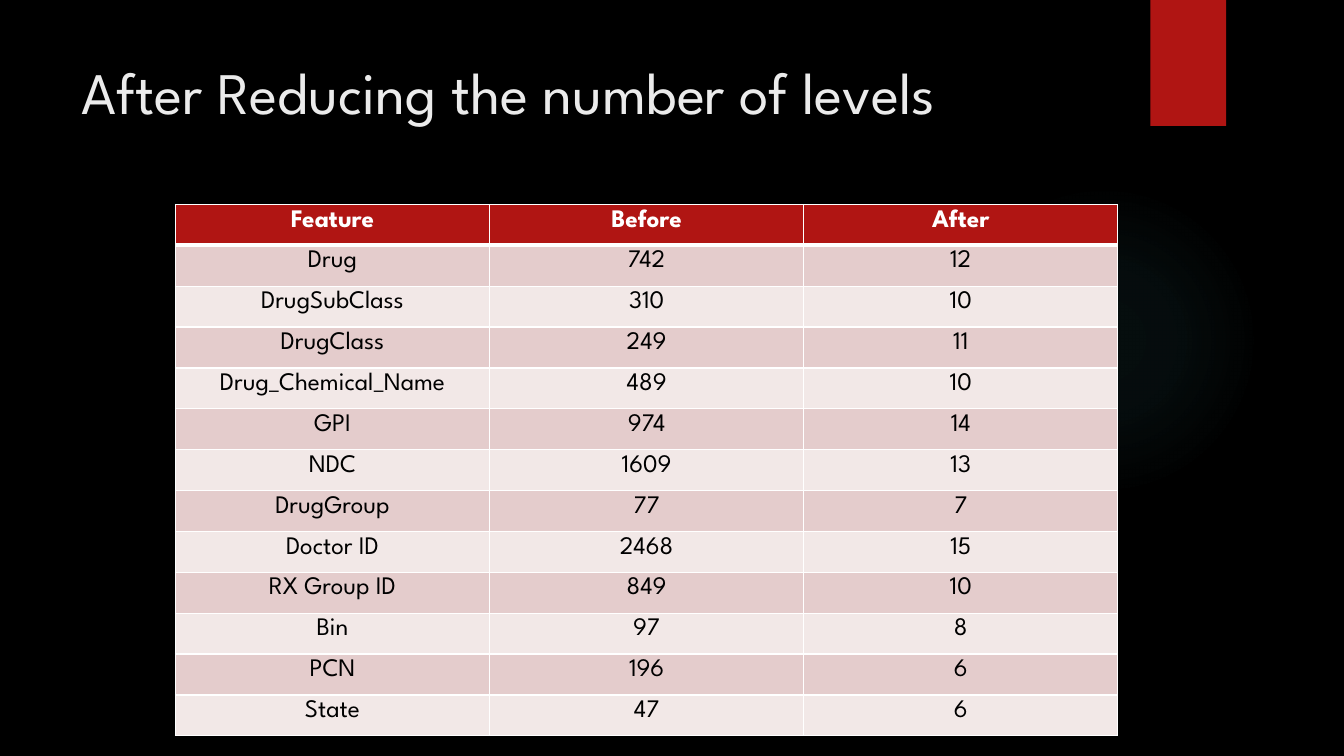
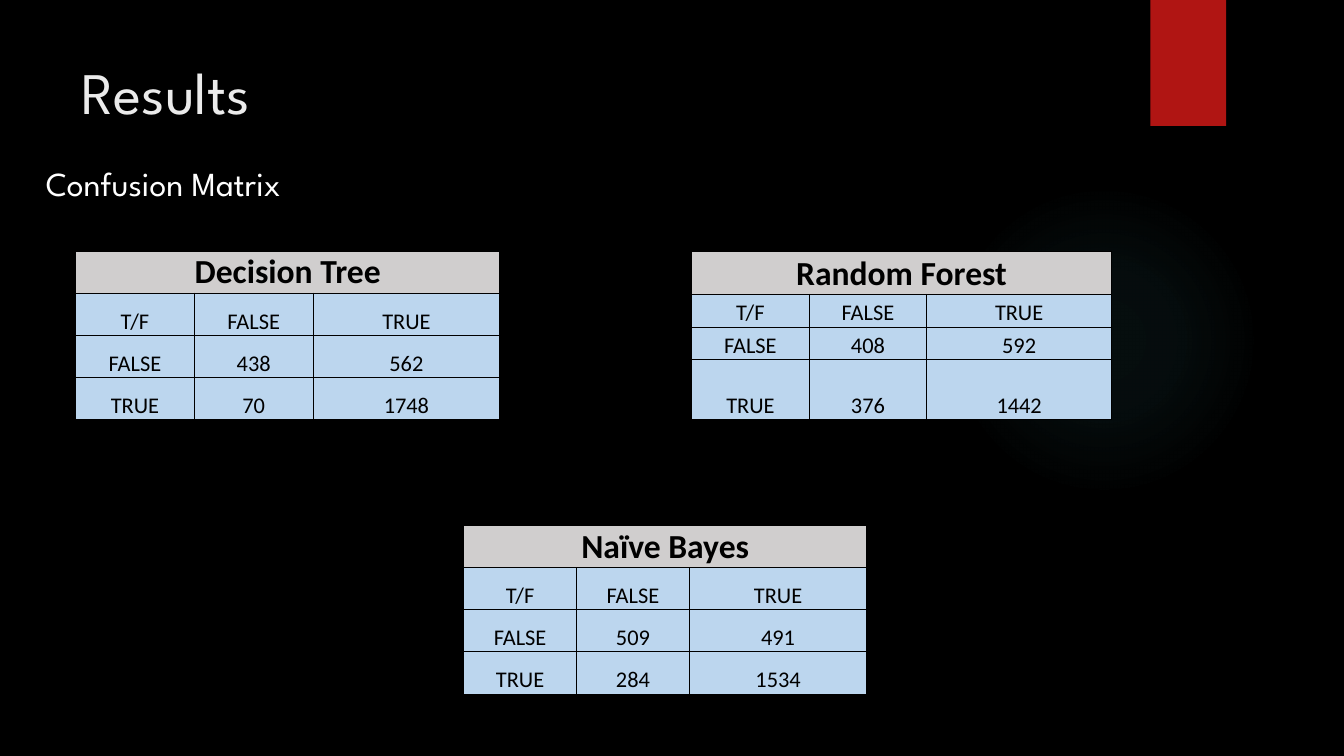
import pptx
import pptx.util
import pptx.dml.color
import pptx.enum.shapes
import pptx.enum.text
import pptx.oxml
import pptx.oxml.ns
import lxml.etree

Pt = pptx.util.Pt
RGB = pptx.dml.color.RGBColor
qn = pptx.oxml.ns.qn
ALIGN = pptx.enum.text.PP_ALIGN
ANCHOR = pptx.enum.text.MSO_ANCHOR
SHAPE = pptx.enum.shapes.MSO_SHAPE

# Content
LEVELS_TITLE = "After Reducing the number of levels"
LEVELS = [
    ("Feature", "Before", "After"),
    ("Drug", 742, 12),
    ("DrugSubClass", 310, 10),
    ("DrugClass", 249, 11),
    ("Drug_Chemical_Name", 489, 10),
    ("GPI", 974, 14),
    ("NDC", 1609, 13),
    ("DrugGroup", 77, 7),
    ("Doctor ID", 2468, 15),
    ("RX Group ID", 849, 10),
    ("Bin", 97, 8),
    ("PCN", 196, 6),
    ("State", 47, 6),
]
RESULTS_TITLE = "Results"
RESULTS_SUBTITLE = "Confusion Matrix"
EVEN_ROWS = [30.1] * 4
# name, FALSE row, TRUE row, (left, top, width), row heights
MATRICES = [
    ("Naïve Bayes", (509, 491), (284, 1534), (331.2, 375.3, 288), EVEN_ROWS),
    ("Random Forest", (408, 592), (376, 1442), (494, 179.2, 300),
     [31, 23.4, 23.4, 42.6]),
    ("Decision Tree", (438, 562), (70, 1748), (54, 179.2, 303), EVEN_ROWS),
]
MATRIX_COLS = (0.28, 0.28, 0.44)

# Style
BLACK, WHITE = RGB(0, 0, 0), RGB(255, 255, 255)
TITLE_INK = RGB(0xEB, 0xEB, 0xEB)
RED = RGB(0xB0, 0x15, 0x13)
GLOW = RGB(0x50, 0xB9, 0xC1)
BANDS = RGB(0xE4, 0xCC, 0xCC), RGB(0xF2, 0xE8, 0xE7)
GREY, BLUE = RGB(0xD0, 0xCE, 0xCE), RGB(0xBC, 0xD6, 0xEE)
HEAD_FONT, MATRIX_FONT = "League Spartan", "Calibri"


def style_text(tf, size, color, font=HEAD_FONT, bold=False, align=ALIGN.LEFT):
    for p in tf.paragraphs:
        p.alignment = align
        for r in p.runs:
            r.font.size, r.font.name, r.font.bold = Pt(size), font, bold
            r.font.color.rgb = color


def add_plain_shape(s, kind, left, top, width, height):
    sp = s.shapes.add_shape(kind, Pt(left), Pt(top), Pt(width), Pt(height))
    sp.shadow.inherit = False
    sp.line.fill.background()
    return sp


def add_glow(s):
    sp = add_plain_shape(s, SHAPE.OVAL, 677.5, 131.8, 221.8, 221.8)
    stops = "".join(
        f'<a:gs pos="{pos * 1000}"><a:srgbClr val="{GLOW}">'
        f'<a:alpha val="{alpha * 1000}"/></a:srgbClr></a:gs>'
        for pos, alpha in ((0, 7), (36, 6), (69, 0)))
    grad = pptx.oxml.parse_xml(
        f'<a:gradFill {pptx.oxml.ns.nsdecls("a")}><a:gsLst>{stops}</a:gsLst>'
        '<a:path path="circle"><a:fillToRect l="50000" t="50000" r="50000" '
        'b="50000"/></a:path></a:gradFill>')
    sp.element.spPr.find(qn("a:prstGeom")).addnext(grad)


def add_slide(prs, title):
    s = prs.slides.add_slide(prs.slide_layouts[5])
    add_glow(s)
    tab = add_plain_shape(s, SHAPE.RECTANGLE, 821.8, 0, 54, 90)
    tab.fill.solid()
    tab.fill.fore_color.rgb = RED
    tf = s.shapes.title.text_frame
    tf.text = title
    tf.vertical_anchor = ANCHOR.TOP
    style_text(tf, 42, TITLE_INK)
    return s


def add_grid(s, left, top, col_widths, row_heights):
    frame = s.shapes.add_table(
        len(row_heights), len(col_widths), Pt(left), Pt(top),
        Pt(sum(col_widths)), Pt(sum(row_heights)))
    table = frame.table
    table.first_row = table.horz_banding = False
    for col, width in zip(table.columns, col_widths):
        col.width = Pt(width)
    for row, height in zip(table.rows, row_heights):
        row.height = Pt(height)
    return table


def style_cell(cell, fill, border, width, **thicker):
    tcPr = cell._tc.get_or_add_tcPr()
    for side in "LRTB":
        ln = lxml.etree.SubElement(tcPr, qn(f"a:ln{side}"),
                                   w=str(int(Pt(thicker.get(side, width)))))
        solid = lxml.etree.SubElement(ln, qn("a:solidFill"))
        lxml.etree.SubElement(solid, qn("a:srgbClr"), val=str(border))
    cell.fill.solid()
    cell.fill.fore_color.rgb = fill


def add_levels_table(s):
    table = add_grid(s, 125.3, 146, [224.4] * 3, [29.2] * len(LEVELS))
    for i, values in enumerate(LEVELS):
        header = i == 0
        thicker = {0: {"B": 3}, 1: {"T": 3}}.get(i, {})
        for j, value in enumerate(values):
            cell = table.cell(i, j)
            cell.text_frame.text = str(value)
            style_text(cell.text_frame, 18, WHITE if header else BLACK,
                       bold=header, align=ALIGN.CENTER)
            style_cell(cell, RED if header else BANDS[(i - 1) % 2],
                       WHITE, 1, **thicker)


def add_matrix(s, name, false_row, true_row, place, row_heights):
    left, top, width = place
    table = add_grid(s, left, top, [width * c for c in MATRIX_COLS], row_heights)
    rows = [(name, "", ""), ("T/F", "FALSE", "TRUE"),
            ("FALSE", *false_row), ("TRUE", *true_row)]
    for i, values in enumerate(rows):
        header = i == 0
        for j, value in enumerate(values):
            cell = table.cell(i, j)
            cell.text_frame.text = str(value)
            style_text(cell.text_frame, 24 if header else 16, BLACK,
                       MATRIX_FONT, header, ALIGN.CENTER)
            cell.vertical_anchor = ANCHOR.BOTTOM
            cell.margin_left = cell.margin_right = cell.margin_top = Pt(0.7)
            cell.margin_bottom = 0
            style_cell(cell, GREY if header else BLUE, BLACK, 0.5)
    table.cell(0, 0).merge(table.cell(0, 2))


def main():
    prs = pptx.Presentation()
    prs.slide_width, prs.slide_height = Pt(960), Pt(540)

    # Shared background and title position
    background = prs.slide_master.background.fill
    background.solid()
    background.fore_color.rgb = BLACK
    title = prs.slide_layouts[5].placeholders[0]
    title.left, title.top = Pt(51), Pt(36)
    title.width, title.height = Pt(741), Pt(110)

    # Levels before and after
    add_levels_table(add_slide(prs, LEVELS_TITLE))

    # Confusion matrices
    s = add_slide(prs, RESULTS_TITLE)
    tf = s.shapes.add_textbox(Pt(25.6), Pt(113), Pt(209.5), Pt(36)).text_frame
    tf.word_wrap = False
    tf.text = RESULTS_SUBTITLE
    style_text(tf, 24, WHITE)
    for matrix in MATRICES:
        add_matrix(s, *matrix)

    prs.save("out.pptx")


if __name__ == "__main__":
    main()
